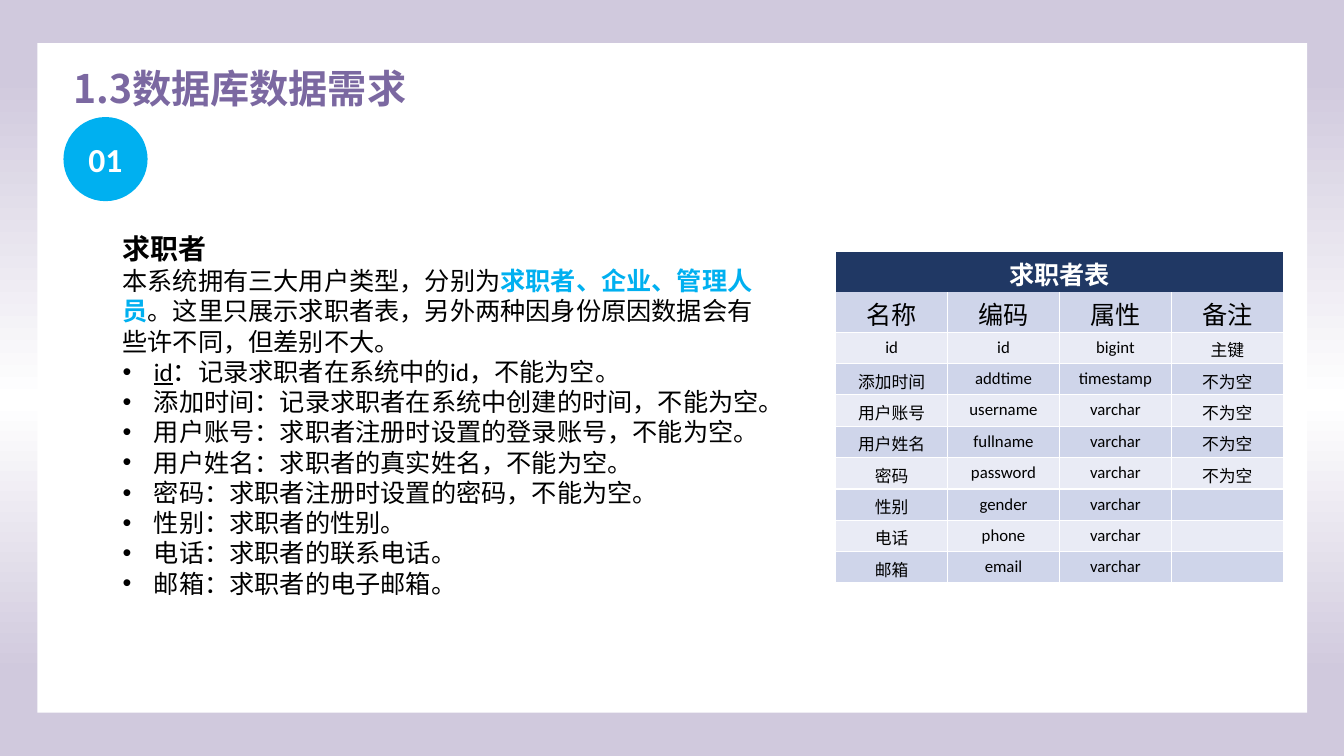
from lxml import etree
from copy import deepcopy
from pptx import Presentation
from pptx.dml.color import RGBColor
from pptx.enum.shapes import MSO_SHAPE
from pptx.enum.text import MSO_ANCHOR, PP_ALIGN
from pptx.oxml.ns import qn
from pptx.util import Cm, Pt

CENTER, MIDDLE = PP_ALIGN.CENTER, MSO_ANCHOR.MIDDLE
LATIN, CJK = "Calibri", "Noto Sans CJK SC"
WHITE, BLACK, BLUE, PURPLE, NAVY = "FFFFFF", "000000", "00B0F0", "7B68A1", "203864"
BANDS = ("E9EBF5", "CFD5EA")

# Content
TITLE = "1.3数据库数据需求"
NUMBER = "01"
HEADING = "求职者"
INTRO = [
    ("本系统拥有三大用户类型，分别为", False),
    ("求职者、企业、管理人员", True),
    ("。这里只展示求职者表，另外两种因身份原因数据会有些许不同，但差别不大。", False),
]
FIELDS = [
    ("id", "：记录求职者在系统中的id，不能为空。"),
    ("添加时间", "：记录求职者在系统中创建的时间，不能为空。"),
    ("用户账号", "：求职者注册时设置的登录账号，不能为空。"),
    ("用户姓名", "：求职者的真实姓名，不能为空。"),
    ("密码", "：求职者注册时设置的密码，不能为空。"),
    ("性别", "：求职者的性别。"),
    ("电话", "：求职者的联系电话。"),
    ("邮箱", "：求职者的电子邮箱。"),
]
KEY_FIELD = "id"
TABLE_TITLE = "求职者表"
TABLE_ROWS = [
    ("名称", "编码", "属性", "备注"),
    ("id", "id", "bigint", "主键"),
    ("添加时间", "addtime", "timestamp", "不为空"),
    ("用户账号", "username", "varchar", "不为空"),
    ("用户姓名", "fullname", "varchar", "不为空"),
    ("密码", "password", "varchar", "不为空"),
    ("性别", "gender", "varchar", ""),
    ("电话", "phone", "varchar", ""),
    ("邮箱", "email", "varchar", ""),
]


def rgb(color):
    return RGBColor.from_string(color)


def style(paragraph, size, color=BLACK, bold=False, latin=LATIN, spacing=None):
    font = paragraph.font
    font.size, font.bold, font.name = Pt(size), bold, latin
    font.color.rgb = rgb(color)
    etree.SubElement(font._rPr, qn("a:ea"), typeface=CJK)
    if spacing:
        paragraph.line_spacing = Pt(spacing)


def add_run(paragraph, text):
    run = paragraph.add_run()
    run.text = text
    return run.font


def add_panel(kind, left, top, width, height, color):
    panel = slide.shapes.add_shape(kind, Cm(left), Cm(top), Cm(width), Cm(height))
    panel.shadow.inherit = False
    panel.fill.solid()
    panel.fill.fore_color.rgb = rgb(color)
    panel.line.fill.background()
    return panel


def add_text(left, top, width, height):
    frame = slide.shapes.add_textbox(Cm(left), Cm(top), Cm(width), Cm(height)).text_frame
    frame.word_wrap = True
    return frame


def set_borders(cell, visible):
    properties = cell._tc.get_or_add_tcPr()
    for place, side in enumerate(("L", "R", "T", "B")):
        line = etree.Element(qn(f"a:ln{side}"), w=str(Pt(1)))
        if side in visible:
            fill = etree.SubElement(line, qn("a:solidFill"))
            etree.SubElement(fill, qn("a:srgbClr"), val=WHITE)
        else:
            etree.SubElement(line, qn("a:noFill"))
        properties.insert(place, line)


def fill_cell(cell, text, size, fill, visible, color=BLACK, bold=False):
    cell.margin_top, cell.margin_bottom = Cm(0.09 if size > 12 else 0.13), 0
    cell.fill.solid()
    cell.fill.fore_color.rgb = rgb(fill)
    set_borders(cell, visible)
    paragraph = cell.text_frame.paragraphs[0]
    paragraph.alignment = CENTER
    style(paragraph, size, color, bold)
    if text:
        add_run(paragraph, text)
    else:
        etree.SubElement(paragraph._p, qn("a:endParaRPr"), sz=str(size * 100))


prs = Presentation()
prs.slide_width, prs.slide_height = Cm(33.87), Cm(19.05)
slide = prs.slides.add_slide(prs.slide_layouts[6])

# Background gradient and white sheet
backdrop = slide.background.fill
backdrop.gradient()
backdrop.gradient_angle = 270
stop_list = slide._element.find(".//" + qn("a:gsLst"))
stop_list.append(deepcopy(stop_list[0]))
for stop, (position, color) in zip(
        backdrop.gradient_stops, [(0.1, "D0C9DD"), (0.53, WHITE), (0.89, "D0C9DD")]):
    stop.position = position
    stop.color.rgb = rgb(color)
add_panel(MSO_SHAPE.RECTANGLE, 0.94, 1.09, 32, 16.87, WHITE)

# Title
title = add_text(1.6, 1.37, 10.08, 1.45).paragraphs[0]
style(title, 28, PURPLE, True, CJK, 37)
add_run(title, TITLE)

# Applicant table
table = slide.shapes.add_table(
    len(TABLE_ROWS) + 1, 4, Cm(21.06), Cm(6.35), Cm(11.28), Cm(8.33)).table
for column in table.columns:
    column.width = Cm(2.82)
for index, row in enumerate(table.rows):
    row.height = Cm(1.01 if index < 2 else 0.79)
table.cell(0, 0).merge(table.cell(0, 3))
for column, text in enumerate((TABLE_TITLE, "", "", "")):
    fill_cell(table.cell(0, column), text, 18, NAVY, "", WHITE, True)
for r, values in enumerate(TABLE_ROWS, start=1):
    for c, text in enumerate(values):
        fill_cell(table.cell(r, c), text, 18 if r == 1 else 12, BANDS[r % 2],
                  "LRB" if r == 1 else "LRTB")

# Number badge
badge = add_panel(MSO_SHAPE.OVAL, 1.6, 2.95, 2.12, 2.12, BLUE).text_frame
badge.vertical_anchor = MIDDLE
number = badge.paragraphs[0]
number.alignment = CENTER
style(number, 24, WHITE, True)
add_run(number, NUMBER)

# Description
description = add_text(2.84, 5.72, 16.56, 9.58)
heading = description.paragraphs[0]
style(heading, 20, bold=True, spacing=24)
add_run(heading, HEADING)

intro = description.add_paragraph()
style(intro, 18, spacing=21.6)
for text, highlighted in INTRO:
    font = add_run(intro, text)
    if highlighted:
        font.bold = True
        font.color.rgb = rgb(BLUE)

for field, meaning in FIELDS:
    item = description.add_paragraph()
    properties = item._p.get_or_add_pPr()
    properties.set("marL", str(Cm(0.79)))
    properties.set("indent", str(-Cm(0.79)))
    etree.SubElement(properties, qn("a:buFont"), typeface="Arial")
    etree.SubElement(properties, qn("a:buChar"), char="•")
    style(item, 18, spacing=21.6)
    if field == KEY_FIELD:
        add_run(item, field).underline = True
        add_run(item, meaning)
    else:
        add_run(item, field + meaning)

prs.save("out.pptx")
